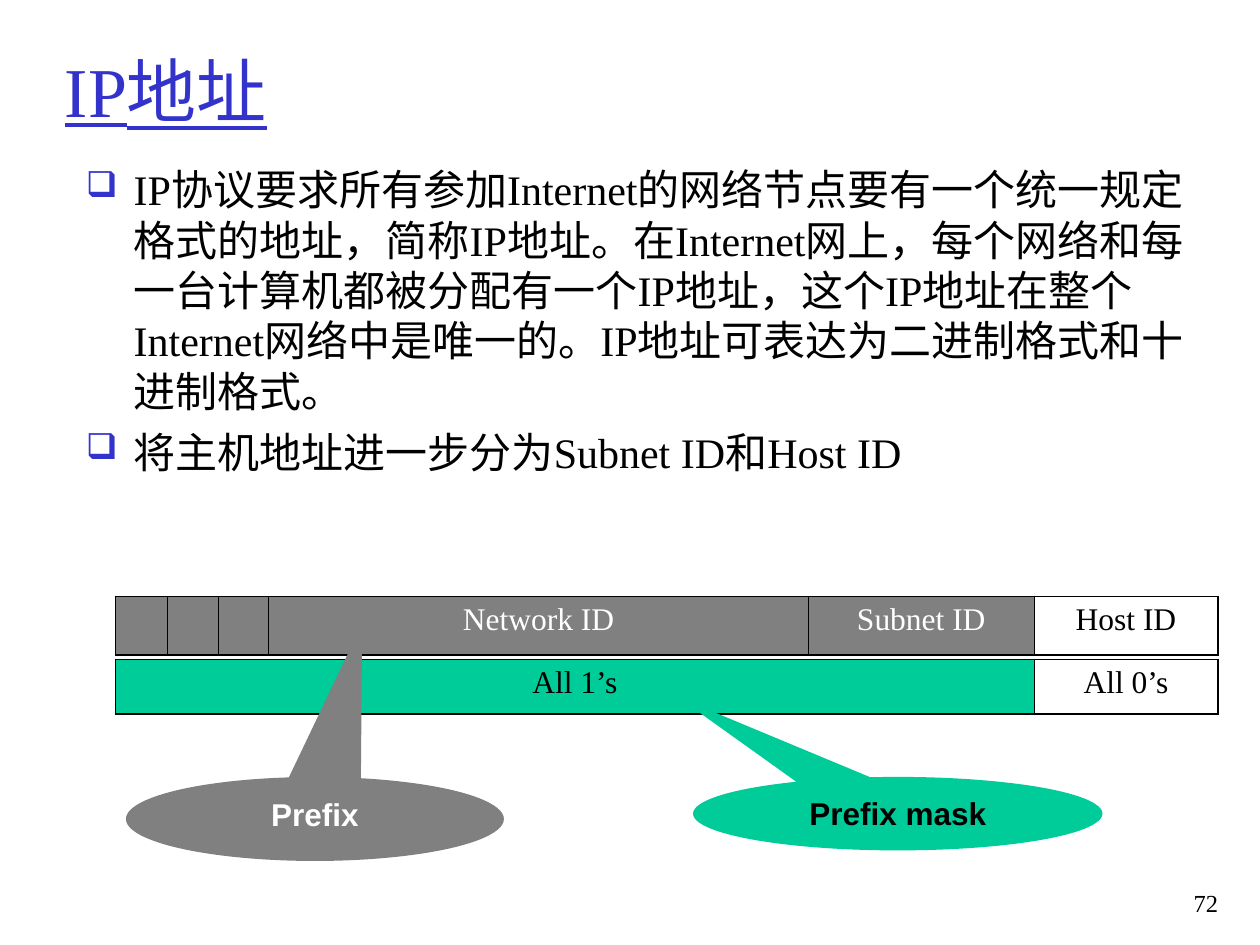
from dataclasses import dataclass
from typing import NamedTuple

from lxml import etree
from pptx import Presentation
from pptx.dml.color import RGBColor
from pptx.enum.shapes import MSO_SHAPE
from pptx.enum.text import MSO_ANCHOR, PP_ALIGN
from pptx.oxml.ns import qn
from pptx.util import Emu, Inches, Pt

CALLOUT = MSO_SHAPE.OVAL_CALLOUT
TOP, MIDDLE = MSO_ANCHOR.TOP, MSO_ANCHOR.MIDDLE
LEFT, CENTER, RIGHT = PP_ALIGN.LEFT, PP_ALIGN.CENTER, PP_ALIGN.RIGHT

SLIDE_W, SLIDE_H = Inches(10), Inches(7.5)
GRID_COLS = 120  # square units: the slide is 120 wide and 90 high
UNIT = SLIDE_W / GRID_COLS


@dataclass(frozen=True)
class Theme:
    accent: str = "3333CC"
    gray: str = "808080"
    green: str = "00CC99"
    black: str = "000000"
    white: str = "FFFFFF"
    serif: str = "Times New Roman"
    sans: str = "Arial"
    title: int = 40
    body: int = 24
    label: int = 18
    number: int = 14
    outer_line: float = 1.08
    inner_line: float = 0.45


THEME = Theme()


class Box(NamedTuple):
    left: float
    top: float
    width: float
    height: float


class Field(NamedTuple):
    text: str
    width: float
    fill: str | None = None
    color: str = THEME.black


class Bar(NamedTuple):
    top: float
    height: float
    fields: list[Field]


class Callout(NamedTuple):
    text: str
    box: Box
    tip: tuple[float, float]
    fill: str
    color: str


BAR_LEFT = 11
BARS = [
    Bar(56.8, 5.6, [
        *[Field("", width, THEME.gray) for width in (4.9, 4.9, 4.8)],
        Field("Network ID", 51.4, THEME.gray, THEME.white),
        Field("Subnet ID", 21.5, THEME.gray, THEME.white),
        Field("Host ID", 17.5),
    ]),
    Bar(62.8, 5.2, [Field("All 1’s", 87.5, THEME.green), Field("All 0’s", 17.5)]),
]
CALLOUTS = [
    Callout("Prefix", Box(12, 74, 36, 8), (0.125, -2.325), THEME.gray, THEME.white),
    Callout("Prefix mask", Box(66, 74, 39, 7), (-0.537, -1.586), THEME.green, THEME.black),
]
BODY = [
    "IP协议要求所有参加Internet的网络节点要有一个统一规定格式的地址，简称IP地址。"
    "在Internet网上，每个网络和每一台计算机都被分配有一个IP地址，"
    "这个IP地址在整个Internet网络中是唯一的。IP地址可表达为二进制格式和十进制格式。",
    "将主机地址进一步分为Subnet ID和Host ID",
]


def grid(value: float) -> Emu:
    return Emu(round(value * UNIT))


def place(box: Box) -> list[Emu]:
    return [grid(value) for value in box]


def write(p, text: str, size: int, color: str = THEME.black, align=LEFT, **extra) -> None:
    p.alignment = align
    r = p.add_run()
    r.text = text
    font = {"name": THEME.serif, "size": Pt(size)} | extra
    for name, value in font.items():
        setattr(r.font, name, value)
    r.font.color.rgb = RGBColor.from_string(color)


def add_text(slide, box: Box, anchor=TOP):
    tf = slide.shapes.add_textbox(*place(box)).text_frame
    tf.word_wrap = True
    tf.vertical_anchor = anchor
    return tf


def add_bullet(p) -> None:
    pPr = p._p.get_or_add_pPr()
    pPr.set("marL", str(Inches(0.38)))
    pPr.set("indent", str(-Inches(0.38)))
    color = etree.SubElement(pPr, qn("a:buClr"))
    etree.SubElement(color, qn("a:srgbClr"), val=THEME.accent)
    etree.SubElement(pPr, qn("a:buSzPct"), val="85000")
    etree.SubElement(pPr, qn("a:buChar"), char="❑")


def set_borders(cell, first: bool, last: bool) -> None:
    """Draw heavy lines round the bar and thin ones between its fields."""
    outer, inner = THEME.outer_line, THEME.inner_line
    widths = {"lnL": outer if first else inner, "lnR": outer if last else inner,
              "lnT": outer, "lnB": outer}
    tcPr = cell._tc.get_or_add_tcPr()
    for i, (side, width) in enumerate(widths.items()):
        ln = etree.Element(qn(f"a:{side}"), w=str(Pt(width)))
        fill = etree.SubElement(ln, qn("a:solidFill"))
        etree.SubElement(fill, qn("a:srgbClr"), val=THEME.black)
        tcPr.insert(i, ln)


def add_bar(slide, bar: Bar) -> None:
    count = len(bar.fields)
    box = Box(BAR_LEFT, bar.top, sum(f.width for f in bar.fields), bar.height)
    table = slide.shapes.add_table(1, count, *place(box)).table
    table.first_row = table.horz_banding = False
    for i, field in enumerate(bar.fields):
        table.columns[i].width = grid(field.width)
        cell = table.cell(0, i)
        if field.fill:
            cell.fill.solid()
            cell.fill.fore_color.rgb = RGBColor.from_string(field.fill)
        else:
            cell.fill.background()
        set_borders(cell, i == 0, i == count - 1)
        if field.text:
            write(cell.text_frame.paragraphs[0], field.text, THEME.label, field.color, CENTER)


def add_callout(slide, callout: Callout) -> None:
    sp = slide.shapes.add_shape(CALLOUT, *place(callout.box))
    sp.shadow.inherit = False
    for i, value in enumerate(callout.tip):
        sp.adjustments[i] = value
    sp.fill.solid()
    sp.fill.fore_color.rgb = RGBColor.from_string(callout.fill)
    sp.line.fill.background()
    tf = sp.text_frame
    tf.word_wrap = True
    tf.vertical_anchor = TOP
    write(tf.paragraphs[0], callout.text, THEME.label, callout.color, CENTER,
          name=THEME.sans, bold=True)


def main() -> None:
    prs = Presentation()
    prs.slide_width, prs.slide_height = SLIDE_W, SLIDE_H
    slide = prs.slides.add_slide(prs.slide_layouts[6])

    title = add_text(slide, Box(5, 1, 108, 15), MIDDLE)
    write(title.paragraphs[0], "IP地址", THEME.title, THEME.accent, underline=True)

    body = add_text(slide, Box(7, 15, 109, 32.8))
    for i, text in enumerate(BODY):
        p = body.add_paragraph() if i else body.paragraphs[0]
        add_bullet(p)
        if i:
            p.space_before = Pt(6)
        write(p, text, THEME.body)

    for bar in BARS:
        add_bar(slide, bar)
    for callout in CALLOUTS:
        add_callout(slide, callout)

    number = add_text(slide, Box(109, 84, 8.2, 6))
    write(number.paragraphs[0], "72", THEME.number, align=RIGHT)
    prs.save("out.pptx")


if __name__ == "__main__":
    main()
